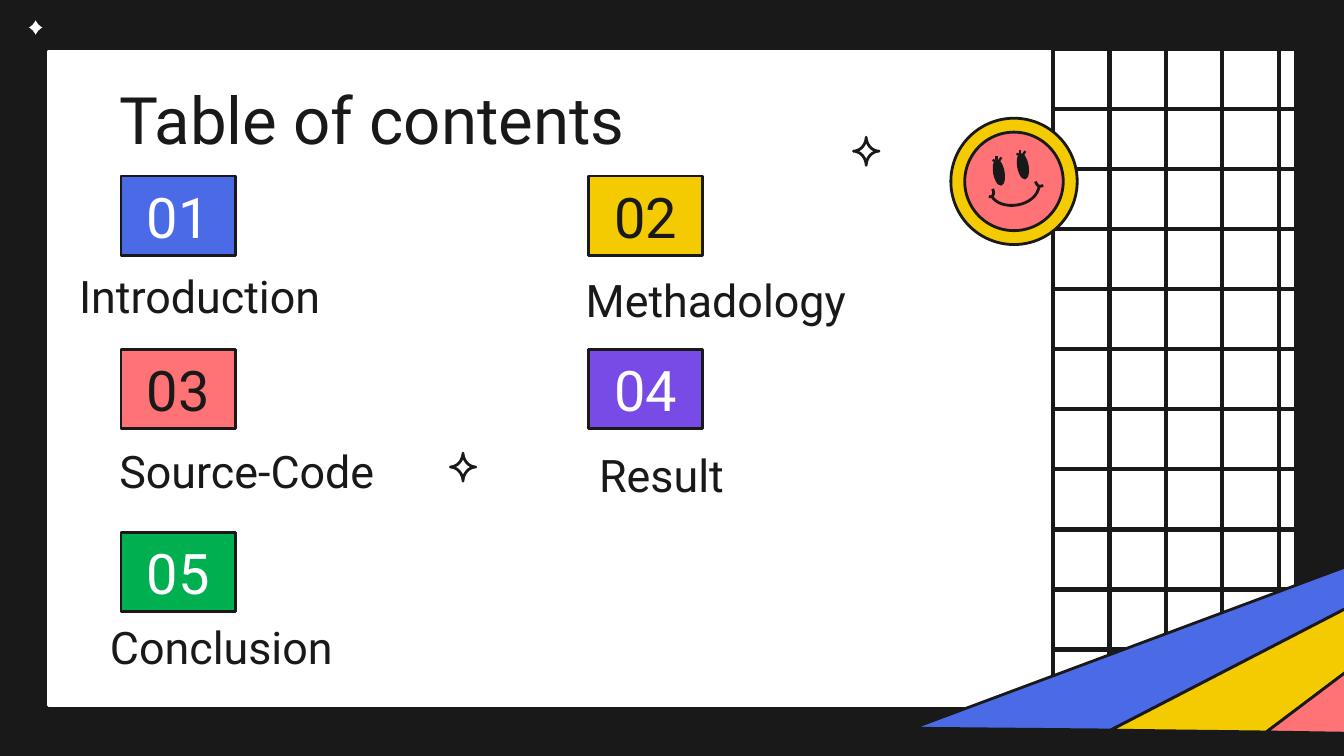
import math

import pptx
import pptx.dml.color
import pptx.enum.shapes
import pptx.enum.text
import pptx.oxml.ns
import pptx.util
from lxml import etree

RGBColor = pptx.dml.color.RGBColor
SHAPE = pptx.enum.shapes.MSO_SHAPE
ALIGN = pptx.enum.text.PP_ALIGN
ANCHOR = pptx.enum.text.MSO_ANCHOR

INK = RGBColor(0x19, 0x19, 0x19)
PAPER = RGBColor(0xFF, 0xFF, 0xFF)
BLUE = RGBColor(0x4B, 0x6A, 0xE6)
YELLOW = RGBColor(0xF4, 0xCA, 0x01)
CORAL = RGBColor(0xFF, 0x72, 0x75)
VIOLET = RGBColor(0x79, 0x4B, 0xE6)
GREEN = RGBColor(0x00, 0xB0, 0x50)

FONT = "Roboto"
COLUMNS, ROWS = 100, 56.25
CHIP = (8.5, 5.9)
LABEL = (26.3, 5.4)
STAR = (1.9, 2.1)


def unit(cells):
    """Convert grid cells to a length on the slide."""
    return pptx.util.Inches(round(cells / 10, 4))


def within(box, share_x, share_y):
    """Return the grid point at the given shares of a box."""
    left, top, width, height = box
    return left + share_x * width, top + share_y * height


def finish(shape, fill, line=INK, weight=1.5):
    """Give a shape its fill, a round-jointed line and no shadow."""
    shape.shadow.inherit = False
    if fill is None:
        shape.fill.background()
    else:
        shape.fill.solid()
        shape.fill.fore_color.rgb = fill
    shape.line.color.rgb = line
    shape.line.width = pptx.util.Pt(weight)
    etree.SubElement(shape.line._get_or_add_ln(), pptx.oxml.ns.qn("a:round"))
    return shape


def preset(slide, kind, box, fill, line=INK, weight=1.5):
    """Add a finished preset shape in a box."""
    shape = slide.shapes.add_shape(kind, *map(unit, box))
    return finish(shape, fill, line, weight)


def outline(slide, box, shares, fill=None, closed=True):
    """Add a freeform through points given as shares of a box."""
    points = [tuple(map(unit, within(box, *share))) for share in shares]
    builder = slide.shapes.build_freeform(*points[0])
    builder.add_line_segments(points[1:], close=closed)
    return finish(builder.convert_to_shape(), fill)


def stroke(slide, start, end, weight):
    """Add a straight ink line between two grid points."""
    line = slide.shapes.add_connector(
        pptx.enum.shapes.MSO_CONNECTOR.STRAIGHT, *map(unit, (*start, *end)))
    line.line.color.rgb = INK
    line.line.width = pptx.util.Pt(weight)
    etree.SubElement(line._element.spPr, pptx.oxml.ns.qn("a:effectLst"))


def write(shape, text, size, color, anchor, align=ALIGN.LEFT):
    """Write one styled paragraph into a shape."""
    frame = shape.text_frame
    frame.word_wrap = True
    frame.vertical_anchor = anchor
    frame.margin_left = frame.margin_right = unit(1)
    frame.margin_top = frame.margin_bottom = unit(1)
    frame.text = text
    paragraph = frame.paragraphs[0]
    paragraph.alignment = align
    font = paragraph.runs[0].font
    font.name, font.size, font.color.rgb = FONT, pptx.util.Pt(size), color


def bezier(start, pull_out, pull_in, end, steps=16):
    """Sample a cubic curve as a list of points."""
    def blend(t, a, b, c, d):
        """Return one coordinate of the curve at t."""
        s = 1 - t
        return s**3 * a + 3 * s * s * t * b + 3 * s * t * t * c + t**3 * d

    return [tuple(blend(i / steps, *axis)
                  for axis in zip(start, pull_out, pull_in, end))
            for i in range(steps + 1)]


def sparkle(slide, box, steps=40):
    """Draw a four-pointed star with curved sides."""
    def reach(value):
        """Bend a unit coordinate toward the star's centre."""
        return 0.5 + math.copysign(abs(value) ** 3.5, value) / 2

    turns = [2 * math.pi * i / steps for i in range(steps)]
    outline(slide, box,
            [(reach(math.cos(a)), reach(math.sin(a))) for a in turns], PAPER)


def wire_grid(slide, box, across, down):
    """Draw evenly spaced vertical and horizontal lines."""
    left, top, width, height = box
    for i in range(across):
        x = left + 4.2 * i
        stroke(slide, (x, 0), (x, ROWS), 2.25)
    for i in range(down):
        y = top + height * i / (down - 1)
        stroke(slide, (left, y), (left + width, y), 2.25)


def smiley(slide, box):
    """Draw the round badge with its smiling face."""
    size = box[2]
    preset(slide, SHAPE.OVAL, box, YELLOW)
    preset(slide, SHAPE.OVAL,
           (*within(box, 0.11, 0.11), size * 0.78, size * 0.78), CORAL)
    lashes = [(-0.02, -0.1, -0.02, -0.13), (0, -0.09, 0.02, -0.12),
              (-0.03, -0.09, -0.05, -0.1)]
    for x, y in [(0.57, 0.38), (0.38, 0.43)]:
        eye = preset(slide, SHAPE.OVAL,
                     (*within(box, x - 0.04, y - 0.1), size * 0.08, size * 0.2),
                     INK, weight=0.75)
        eye.rotation = -10
        for root_x, root_y, tip_x, tip_y in lashes:
            stroke(slide, within(box, x + root_x, y + root_y),
                   within(box, x + tip_x, y + tip_y), 1.25)
    smile = (0.32, 0.61), (0.38, 0.74), (0.68, 0.71), (0.7, 0.53)
    left_cheek = (0.3, 0.62), (0.33, 0.63), (0.35, 0.6), (0.33, 0.56)
    right_cheek = (0.67, 0.5), (0.68, 0.53), (0.7, 0.55), (0.73, 0.53)
    for curve in (smile, left_cheek, right_cheek):
        outline(slide, box, bezier(*curve), closed=False)


def ray_fan(slide, box):
    """Draw three colour rays widening toward the right edge."""
    feet = [(0, 0.97), (0.42, 0.98), (0.75, 0.99), (1, 1)]
    ends = [(1, 0), (1, 0.2), (1, 0.5), (1, 1)]
    for i, color in enumerate((BLUE, YELLOW, CORAL)):
        outline(slide, box, [feet[i], ends[i], ends[i + 1], feet[i + 1]], color)


def agenda_entry(slide, box, number, topic, fill, ink, shift):
    """Place a numbered chip and its topic, shifted from the chip's corner."""
    chip = preset(slide, SHAPE.RECTANGLE, box, fill)
    write(chip, number, 30, ink, ANCHOR.MIDDLE, ALIGN.CENTER)
    topic_box = (box[0] + shift[0], box[1] + shift[1], *LABEL)
    label = slide.shapes.add_textbox(*map(unit, topic_box))
    write(label, topic, 24, INK, ANCHOR.BOTTOM)


def contents_slide(slide, box):
    """Build the table of contents slide."""
    slide.background.fill.solid()
    slide.background.fill.fore_color.rgb = INK
    preset(slide, SHAPE.RECTANGLE, box, PAPER, PAPER)
    title = slide.shapes.add_textbox(*map(unit, (7.9, 4.9, 84.3, 6.3)))
    write(title, "Table of contents", 35, INK, ANCHOR.TOP)

    columns, rows = (9, 43.8), (13.1, 26, 39.6)
    entries = [
        ("Introduction", BLUE, PAPER, (-4.1, 6.5)),
        ("Methadology", YELLOW, INK, (-1.2, 6.8)),
        ("Source-Code", CORAL, INK, (-1.1, 6.6)),
        ("Result", VIOLET, PAPER, (-0.2, 6.9)),
        ("Conclusion", GREEN, PAPER, (-1.8, 6.1)),
    ]
    for i, (topic, fill, ink, shift) in enumerate(entries):
        chip_box = (columns[i % 2], rows[i // 2], *CHIP)
        agenda_entry(slide, chip_box, f"{i + 1:02}", topic, fill, ink, shift)

    for corner in [(1.7, 1), (63.5, 10.2), (33.5, 33.7)]:
        sparkle(slide, (*corner, *STAR))
    wire_grid(slide, (78.35, 3.65, COLUMNS - 78.35, 49.15), 6, 12)
    smiley(slide, (70.75, 8.8, 9.4, 9.4))
    ray_fan(slide, (67.9, 41.1, 35.1, 13.5))


def main():
    """Create the deck and save it."""
    deck = pptx.Presentation()
    deck.slide_width, deck.slide_height = unit(COLUMNS), unit(ROWS)
    slide = deck.slides.add_slide(deck.slide_layouts[6])
    contents_slide(slide, (3.6, 3.8, 92.6, 48.7))
    deck.save("out.pptx")


if __name__ == "__main__":
    main()
